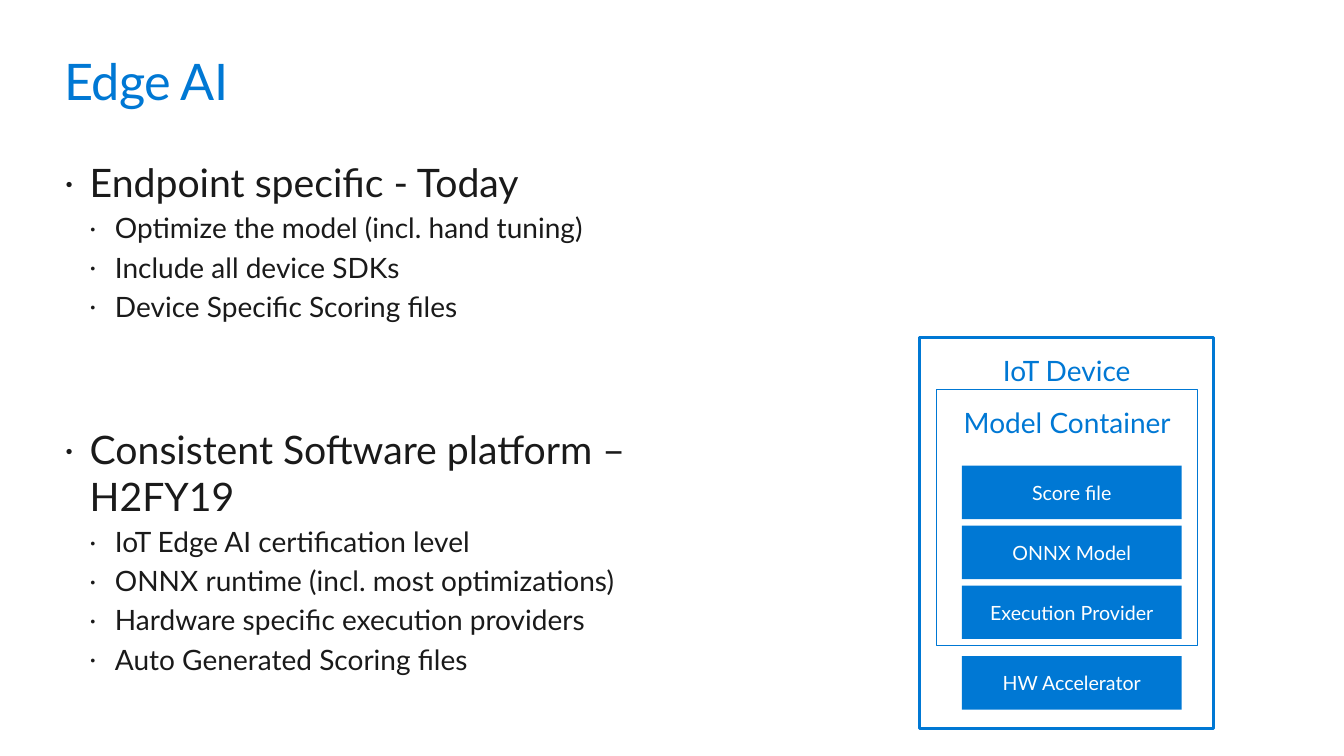
from lxml import etree
from pptx import Presentation
from pptx.dml.color import RGBColor
from pptx.enum.shapes import MSO_SHAPE
from pptx.enum.text import MSO_ANCHOR, PP_ALIGN
from pptx.oxml.ns import qn
from pptx.util import Inches, Pt

RECTANGLE = MSO_SHAPE.RECTANGLE
TOP, MIDDLE = MSO_ANCHOR.TOP, MSO_ANCHOR.MIDDLE
CENTER = PP_ALIGN.CENTER
BLUE = RGBColor(0x00, 0x78, 0xD4)
WHITE = RGBColor(0xFF, 0xFF, 0xFF)
DARK = RGBColor(0x1A, 0x1A, 0x1A)
FONT = "Lato"

TITLE = "Edge AI"
APPROACHES = [
    ("Endpoint specific - Today", [
        "Optimize the model (incl. hand tuning)",
        "Include all device SDKs",
        "Device Specific Scoring files",
    ]),
    ("Consistent Software platform – H2FY19", [
        "IoT Edge AI certification level",
        "ONNX runtime (incl. most optimizations)",
        "Hardware specific execution providers",
        "Auto Generated Scoring files",
    ]),
]
# label, (left, top, width, height), outline width
FRAMES = [
    ("IoT Device", (9.12, 3.35, 2.92, 3.88), 2.25),
    ("Model Container", (9.29, 3.86, 2.59, 2.54), 0.75),
]
CONTAINER_PARTS = ["Score file", "ONNX Model", "Execution Provider"]
ACCELERATOR = "HW Accelerator"

PART_LEFT, PART_WIDTH, PART_HEIGHT = 9.54, 2.18, 0.53
PARTS_TOP, PART_PITCH = 4.62, 0.595
ACCELERATOR_TOP = 6.51
HEADING_SIZE, POINT_SIZE = 28, 20
INDENT = 0.25
SECTION_GAP = 72.8


def style(font, size, color):
    values = {"name": FONT, "size": Pt(size)}
    for attribute, value in values.items():
        setattr(font, attribute, value)
    font.color.rgb = color


def set_insets(frame, across, down):
    insets = {"margin_left": across, "margin_right": across,
              "margin_top": down, "margin_bottom": down}
    for attribute, value in insets.items():
        setattr(frame, attribute, Inches(value))
    frame.word_wrap = True


def add_text_area(slide, place):
    frame = slide.shapes.add_textbox(*map(Inches, place)).text_frame
    set_insets(frame, 0, 0)
    return frame


def add_bullet(frame, text, level, size, space_before):
    first = not frame.paragraphs[0].runs
    paragraph = frame.paragraphs[0] if first else frame.add_paragraph()
    paragraph.level = level
    properties = paragraph._p.get_or_add_pPr()
    properties.set("marL", str(Inches(INDENT * (level + 1))))
    properties.set("indent", str(-Inches(INDENT)))
    if not first:
        paragraph.space_before = Pt(space_before)
    etree.SubElement(properties, qn("a:buSzPct")).set("val", "90000")
    etree.SubElement(properties, qn("a:buFont")).set("typeface", FONT)
    etree.SubElement(properties, qn("a:buChar")).set("char", "·")
    run = paragraph.add_run()
    run.text = text
    style(run.font, size, DARK)


def add_box(slide, label, place, fill, color, size, anchor, line_width=None):
    box = slide.shapes.add_shape(RECTANGLE, *map(Inches, place))
    box.shadow.inherit = False
    box.fill.solid()
    box.fill.fore_color.rgb = fill
    if line_width:
        box.line.color.rgb = BLUE
        box.line.width = Pt(line_width)
    else:
        box.line.fill.background()
    frame = box.text_frame
    set_insets(frame, 0.2, 0.16)
    frame.vertical_anchor = anchor
    paragraph = frame.paragraphs[0]
    paragraph.alignment = CENTER
    run = paragraph.add_run()
    run.text = label
    style(run.font, size, color)


def main():
    deck = Presentation()
    deck.slide_width, deck.slide_height = Inches(13.33), Inches(7.5)
    slide = deck.slides.add_slide(deck.slide_layouts[6])

    title = add_text_area(slide, (0.64, 0.5, 12.05, 0.61)).paragraphs[0].add_run()
    title.text = TITLE
    style(title.font, 36, BLUE)
    title._r.get_or_add_rPr().set("spc", "-50")

    approaches = add_text_area(slide, (0.64, 1.57, 7.07, 4.83))
    for heading, points in APPROACHES:
        add_bullet(approaches, heading, 0, HEADING_SIZE, SECTION_GAP)
        for point in points:
            add_bullet(approaches, point, 1, POINT_SIZE, POINT_SIZE * 0.2)

    for label, place, line_width in FRAMES:
        add_box(slide, label, place, WHITE, BLUE, 20, TOP, line_width)

    parts = [(label, PARTS_TOP + row * PART_PITCH)
             for row, label in enumerate(CONTAINER_PARTS)]
    for label, top in parts + [(ACCELERATOR, ACCELERATOR_TOP)]:
        place = (PART_LEFT, top, PART_WIDTH, PART_HEIGHT)
        add_box(slide, label, place, BLUE, WHITE, 14, MIDDLE)

    deck.save("out.pptx")


if __name__ == "__main__":
    main()
